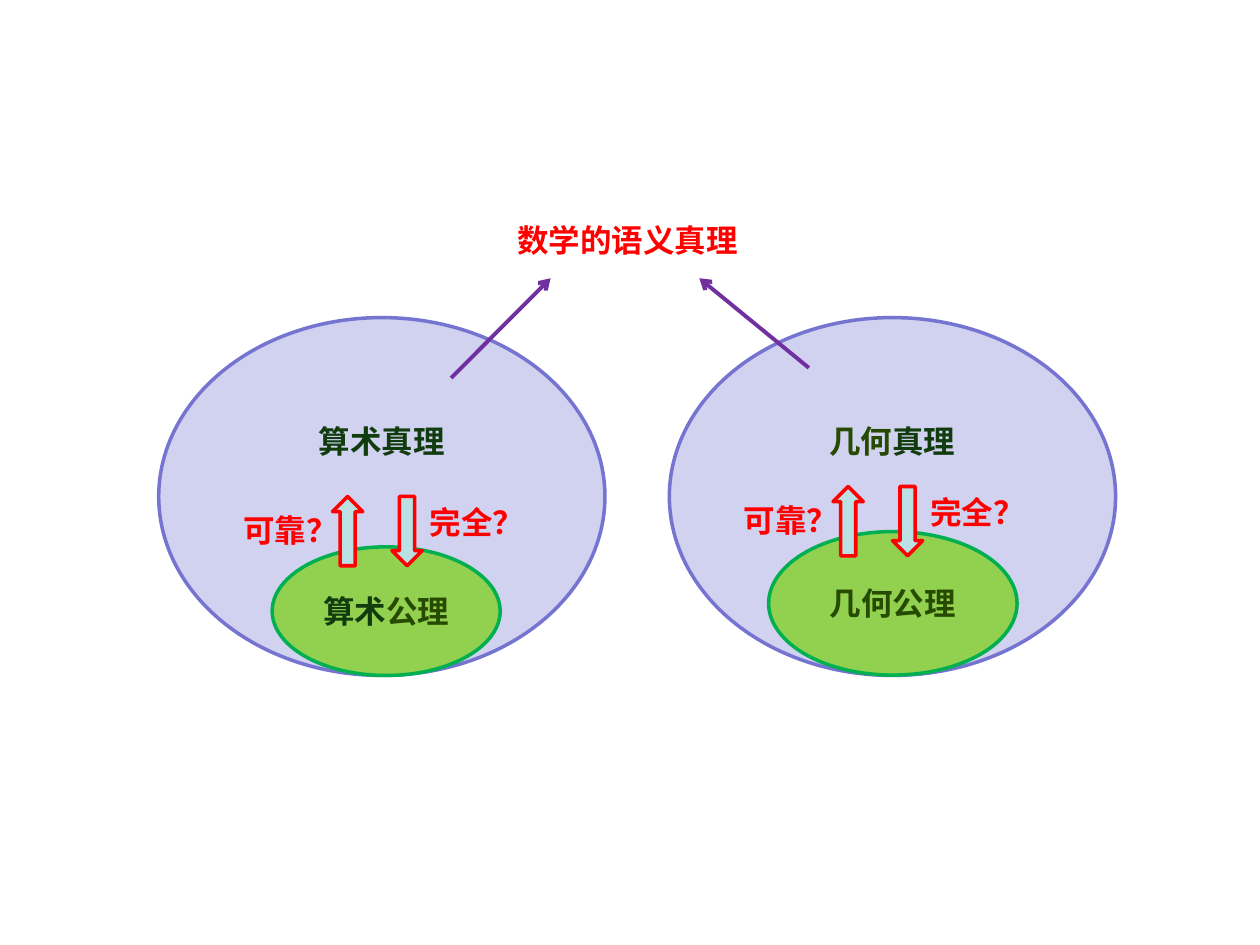
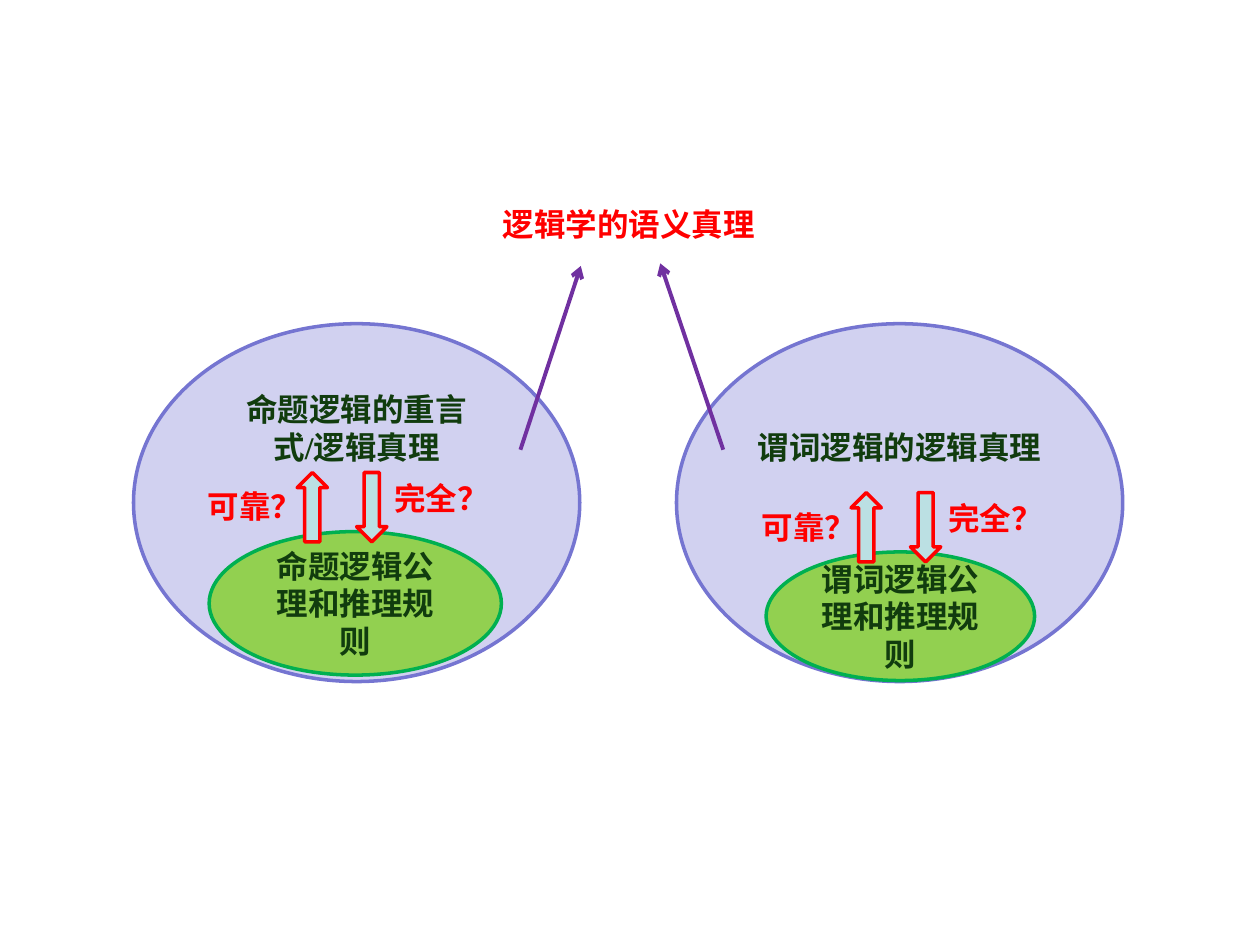
"""Build two slides on soundness and completeness of mathematics and logic."""
from dataclasses import dataclass

from lxml import etree
from pptx import Presentation
from pptx.dml.color import RGBColor
from pptx.enum.lang import MSO_LANGUAGE_ID
from pptx.enum.shapes import MSO_CONNECTOR, MSO_SHAPE
from pptx.enum.text import MSO_ANCHOR, MSO_AUTO_SIZE, PP_ALIGN
from pptx.oxml.ns import qn
from pptx.util import Pt

OVAL, DOWN = MSO_SHAPE.OVAL, MSO_SHAPE.DOWN_ARROW
STRAIGHT = MSO_CONNECTOR.STRAIGHT
LEFT, CENTER = PP_ALIGN.LEFT, PP_ALIGN.CENTER
TOP, MIDDLE = MSO_ANCHOR.TOP, MSO_ANCHOR.MIDDLE
NO_FIT, GROW = MSO_AUTO_SIZE.NONE, MSO_AUTO_SIZE.SHAPE_TO_FIT_TEXT
CHINESE = MSO_LANGUAGE_ID.SIMPLIFIED_CHINESE


@dataclass(frozen=True)
class Theme:
    font: str = "Times New Roman"
    size: float = 18
    outline: float = 2
    pointer_width: float = 2.25
    dark: str = "113C0E"
    olive: str = "254A00"
    red: str = "FF0000"
    truth_fill: str = "D1D1F0"
    truth_line: str = "7575D1"
    axiom_fill: str = "92D050"
    axiom_line: str = "00B050"
    arrow_fill: str = "BBE0E3"
    pointer: str = "7030A0"


THEME = Theme()
TRUTH_SIZE = (255, 204.5)
ARROW_SIZE = (17.3, 39.6)
LABEL_SIZE = (69, 29)
ARROW_GAP = 34


def write(tf, runs, align=CENTER, anchor=MIDDLE, wrap=True, fit=NO_FIT, bottom=3.6):
    tf.word_wrap, tf.auto_size, tf.vertical_anchor = wrap, fit, anchor
    tf.margin_left = tf.margin_right = Pt(7.2)
    tf.margin_top, tf.margin_bottom = Pt(3.6), Pt(bottom)
    p = tf.paragraphs[0]
    p.alignment = align
    for text, color in runs:
        r = p.add_run()
        r.text = text
        r.font.name, r.font.size, r.font.bold = THEME.font, Pt(THEME.size), True
        r.font.color.rgb = RGBColor.from_string(color)
        r.font.language_id = CHINESE


class Deck:
    def __init__(self, theme):
        self.theme = theme
        self.prs = Presentation()
        self.prs.slide_width, self.prs.slide_height = Pt(720), Pt(540)
        self.s = None

    def slide(self, title, x, y, w):
        self.s = self.prs.slides.add_slide(self.prs.slide_layouts[5])
        sp = self.s.shapes.title
        sp.left, sp.top, sp.width, sp.height = Pt(x), Pt(y), Pt(w), Pt(29)
        write(sp.text_frame, [(title, self.theme.red)], anchor=TOP, wrap=False, fit=GROW)

    def shape(self, kind, x, y, size, fill, line, rotation=0):
        w, h = size
        sp = self.s.shapes.add_shape(kind, Pt(x), Pt(y), Pt(w), Pt(h))
        sp.shadow.inherit = False
        sp.fill.solid()
        sp.fill.fore_color.rgb = RGBColor.from_string(fill)
        sp.line.color.rgb = RGBColor.from_string(line)
        sp.line.width = Pt(self.theme.outline)
        sp.rotation = rotation
        return sp

    def label(self, text, x, y):
        w, h = LABEL_SIZE
        sp = self.s.shapes.add_textbox(Pt(x), Pt(y), Pt(w), Pt(h))
        write(sp.text_frame, [(text, self.theme.red)], align=LEFT, anchor=TOP, wrap=False, fit=GROW)

    def pointer(self, start, end):
        points = [Pt(v) for v in (*start, *end)]
        sp = self.s.shapes.add_connector(STRAIGHT, *points)
        sp.line.color.rgb = RGBColor.from_string(self.theme.pointer)
        sp.line.width = Pt(self.theme.pointer_width)
        etree.SubElement(sp.line._get_or_add_ln(), qn("a:tailEnd"), type="arrow")
        etree.SubElement(sp._element.spPr, qn("a:effectLst"))

    def questions(self, x, y):
        t = self.theme
        for left, rotation in ((x, 0), (x - ARROW_GAP, 180)):
            self.shape(DOWN, left, y, ARROW_SIZE, t.arrow_fill, t.red, rotation)
        self.label("可靠？", x - 92, y + 5)
        self.label("完全？", x + 14.4, y)

    def domain(self, truth, truth_at, axioms, axioms_at, axioms_size, arrow_at, start, end, lift=64):
        t = self.theme
        sp = self.shape(OVAL, *truth_at, TRUTH_SIZE, t.truth_fill, t.truth_line)
        write(sp.text_frame, truth, bottom=3.6 + lift)
        sp = self.shape(OVAL, *axioms_at, axioms_size, t.axiom_fill, t.axiom_line)
        write(sp.text_frame, axioms)
        self.questions(*arrow_at)
        self.pointer(start, end)


def main():
    deck = Deck(THEME)
    dark, olive = THEME.dark, THEME.olive

    deck.slide("数学的语义真理", 287.3, 122.4, 142.6)
    deck.domain([("算术真理", dark)], (90.7, 181.5),
                [("算术", dark), ("公理", olive)], (155.5, 312.5), (130.3, 73.5),
                (224, 283.7), (257.8, 216), (314.6, 159))
    deck.domain([("几何", olive), ("真理", dark)], (382.5, 181.5),
                [("几何公理", olive)], (439.2, 303.8), (142, 82),
                (510, 278), (462.2, 210.2), (399.6, 159))

    deck.slide("逻辑学的语义真理", 278.6, 113.8, 161.3)
    deck.domain([("谓词逻辑的逻辑真理", dark)], (386.6, 185),
                [("谓词逻辑公理和推理规则", dark)], (437.8, 315.4), (153.4, 73.5),
                (520.3, 281.5), (413.3, 257), (377.3, 150.5))
    deck.domain([("命题逻辑的重言式/逻辑真理", dark)], (76.3, 185),
                [("命题逻辑公理和推理规则", dark)], (119.5, 303.8), (167, 82),
                (203.8, 270), (297.4, 257), (331.9, 152), lift=85)

    deck.prs.save("out.pptx")


if __name__ == "__main__":
    main()
